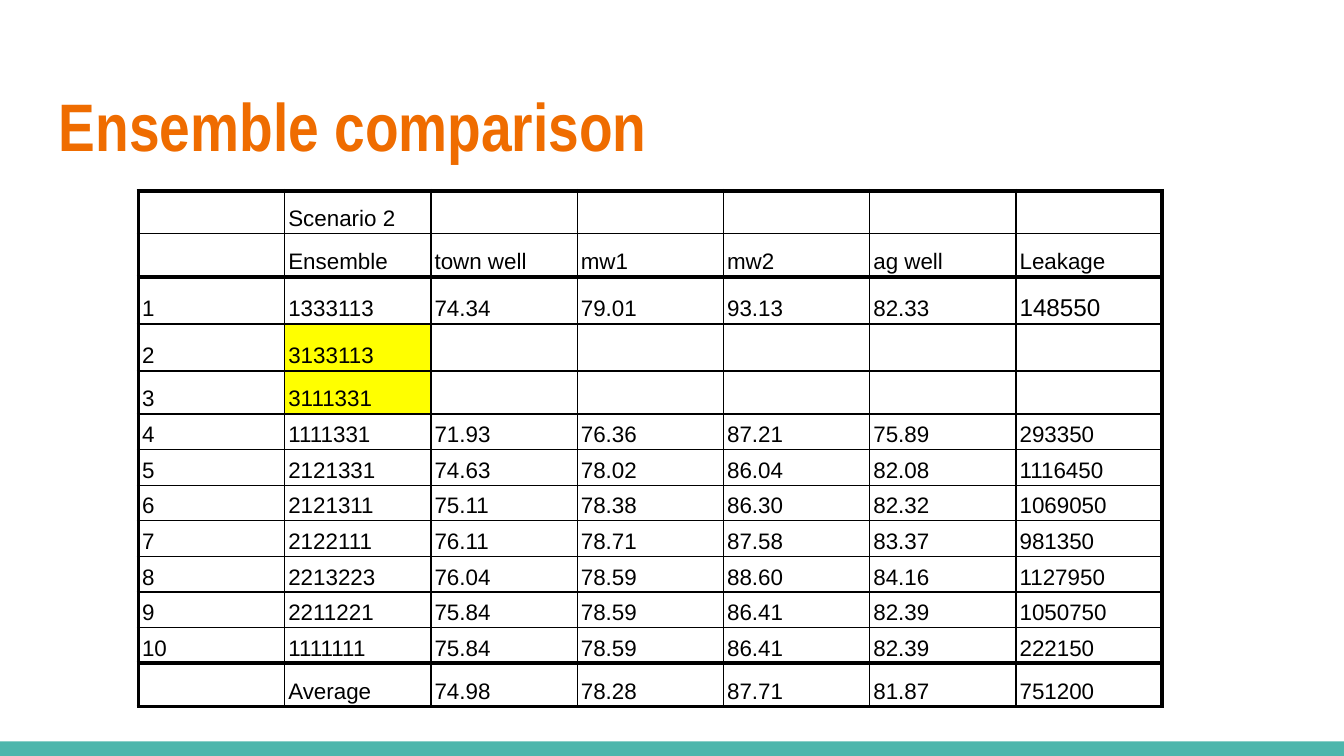
from lxml import etree
from pptx import Presentation
from pptx.dml.color import RGBColor
from pptx.enum.shapes import MSO_SHAPE
from pptx.enum.text import MSO_ANCHOR
from pptx.oxml.ns import qn
from pptx.util import Pt

RECTANGLE = MSO_SHAPE.RECTANGLE
TOP, BOTTOM = MSO_ANCHOR.TOP, MSO_ANCHOR.BOTTOM

TEAL = RGBColor(0x4D, 0xB6, 0xAC)
ORANGE = RGBColor(0xEF, 0x6C, 0x00)
YELLOW = RGBColor(0xFF, 0xFF, 0x00)
WHITE = RGBColor(0xFF, 0xFF, 0xFF)
BLACK = RGBColor(0x00, 0x00, 0x00)

SLIDE_WIDTH, SLIDE_HEIGHT = 720, 405
TITLE_FONT = {"name": "Arial Narrow", "size": Pt(36), "bold": True}
TABLE_FONT = {"name": "Arial", "size": Pt(12), "bold": False}
CELL_FORMAT = {
    "margin_left": Pt(1.9), "margin_right": Pt(1.9),
    "margin_top": Pt(1.25), "margin_bottom": Pt(1.25),
    "vertical_anchor": BOTTOM,
}

# Scenario results, one line per ensemble
RESULTS = [
    ["", "Scenario 2", "", "", "", "", ""],
    ["", "Ensemble", "town well", "mw1", "mw2", "ag well", "Leakage"],
    ["1", "1333113", "74.34", "79.01", "93.13", "82.33", "148550"],
    ["2", "3133113", "", "", "", "", ""],
    ["3", "3111331", "", "", "", "", ""],
    ["4", "1111331", "71.93", "76.36", "87.21", "75.89", "293350"],
    ["5", "2121331", "74.63", "78.02", "86.04", "82.08", "1116450"],
    ["6", "2121311", "75.11", "78.38", "86.30", "82.32", "1069050"],
    ["7", "2122111", "76.11", "78.71", "87.58", "83.37", "981350"],
    ["8", "2213223", "76.04", "78.59", "88.60", "84.16", "1127950"],
    ["9", "2211221", "75.84", "78.59", "86.41", "82.39", "1050750"],
    ["10", "1111111", "75.84", "78.59", "86.41", "82.39", "222150"],
    ["", "Average", "74.98", "78.28", "87.71", "81.87", "751200"],
]
ROW_HEIGHTS = [23.1] * 2 + [25.2] * 2 + [23.1] + [18.4] * 7 + [23.1]
COLUMN_WIDTH = 78.35
HIGHLIGHTED = {(3, 1), (4, 1)}
LARGER_TEXT = {(2, 6): Pt(13)}

# Grid lines, counted from the outer edge, that are drawn thick
THICK_ROW_LINES = {0, 2, 12, 13}
THICK_COLUMN_LINES = {0, 7}
THICK, THIN = 2.25, 0.75


def apply_format(target, values):
    for name, value in values.items():
        setattr(target, name, value)


def add_footer_bar(slide):
    bar = slide.shapes.add_shape(RECTANGLE, 0, Pt(397.2), Pt(SLIDE_WIDTH), Pt(7.8))
    bar.shadow.inherit = False
    bar.fill.solid()
    bar.fill.fore_color.rgb = TEAL
    bar.line.fill.background()


def add_title(slide, text):
    frame = slide.shapes.add_textbox(Pt(24.5), Pt(35.3), Pt(671), Pt(55.4)).text_frame
    apply_format(frame, {
        "word_wrap": True, "vertical_anchor": TOP,
        "margin_left": Pt(7.2), "margin_right": Pt(7.2),
        "margin_top": Pt(10), "margin_bottom": Pt(7.2),
    })
    run = frame.paragraphs[0].add_run()
    run.text = text
    apply_format(run.font, TITLE_FONT)
    run.font.color.rgb = ORANGE


def add_border(cell_properties, side, width):
    line = etree.SubElement(cell_properties, qn(f"a:{side}"), w=str(Pt(width)))
    fill = etree.SubElement(line, qn("a:solidFill"))
    etree.SubElement(fill, qn("a:srgbClr"), val=str(BLACK))


def set_borders(cell, row, column):
    properties = cell._tc.get_or_add_tcPr()
    for side, line, thick_lines in (
        ("lnL", column, THICK_COLUMN_LINES),
        ("lnR", column + 1, THICK_COLUMN_LINES),
        ("lnT", row, THICK_ROW_LINES),
        ("lnB", row + 1, THICK_ROW_LINES),
    ):
        add_border(properties, side, THICK if line in thick_lines else THIN)


def fill_cell(cell, text, row, column):
    apply_format(cell, CELL_FORMAT)
    set_borders(cell, row, column)
    cell.fill.solid()
    cell.fill.fore_color.rgb = YELLOW if (row, column) in HIGHLIGHTED else WHITE
    paragraph = cell.text_frame.paragraphs[0]
    paragraph.line_spacing = 1.15
    if not text:
        # Keep an empty cell from stretching its row
        etree.SubElement(paragraph._p, qn("a:endParaRPr"), sz="1200")
        return
    run = paragraph.add_run()
    run.text = text
    apply_format(run.font, TABLE_FONT)
    run.font.size = LARGER_TEXT.get((row, column), TABLE_FONT["size"])
    run.font.color.rgb = BLACK


def add_results_table(slide):
    column_count = len(RESULTS[0])
    table = slide.shapes.add_table(
        len(RESULTS), column_count, Pt(74.2), Pt(102.2),
        Pt(COLUMN_WIDTH * column_count), Pt(sum(ROW_HEIGHTS)),
    ).table
    apply_format(table, {"first_row": False, "horz_banding": False})
    for table_column in table.columns:
        table_column.width = Pt(COLUMN_WIDTH)
    for row, (values, height) in enumerate(zip(RESULTS, ROW_HEIGHTS)):
        table.rows[row].height = Pt(height)
        for column, value in enumerate(values):
            fill_cell(table.cell(row, column), value, row, column)


def main():
    presentation = Presentation()
    presentation.slide_width = Pt(SLIDE_WIDTH)
    presentation.slide_height = Pt(SLIDE_HEIGHT)
    slide = presentation.slides.add_slide(presentation.slide_layouts[6])
    add_footer_bar(slide)
    add_title(slide, "Ensemble comparison")
    add_results_table(slide)
    presentation.save("out.pptx")


if __name__ == "__main__":
    main()
